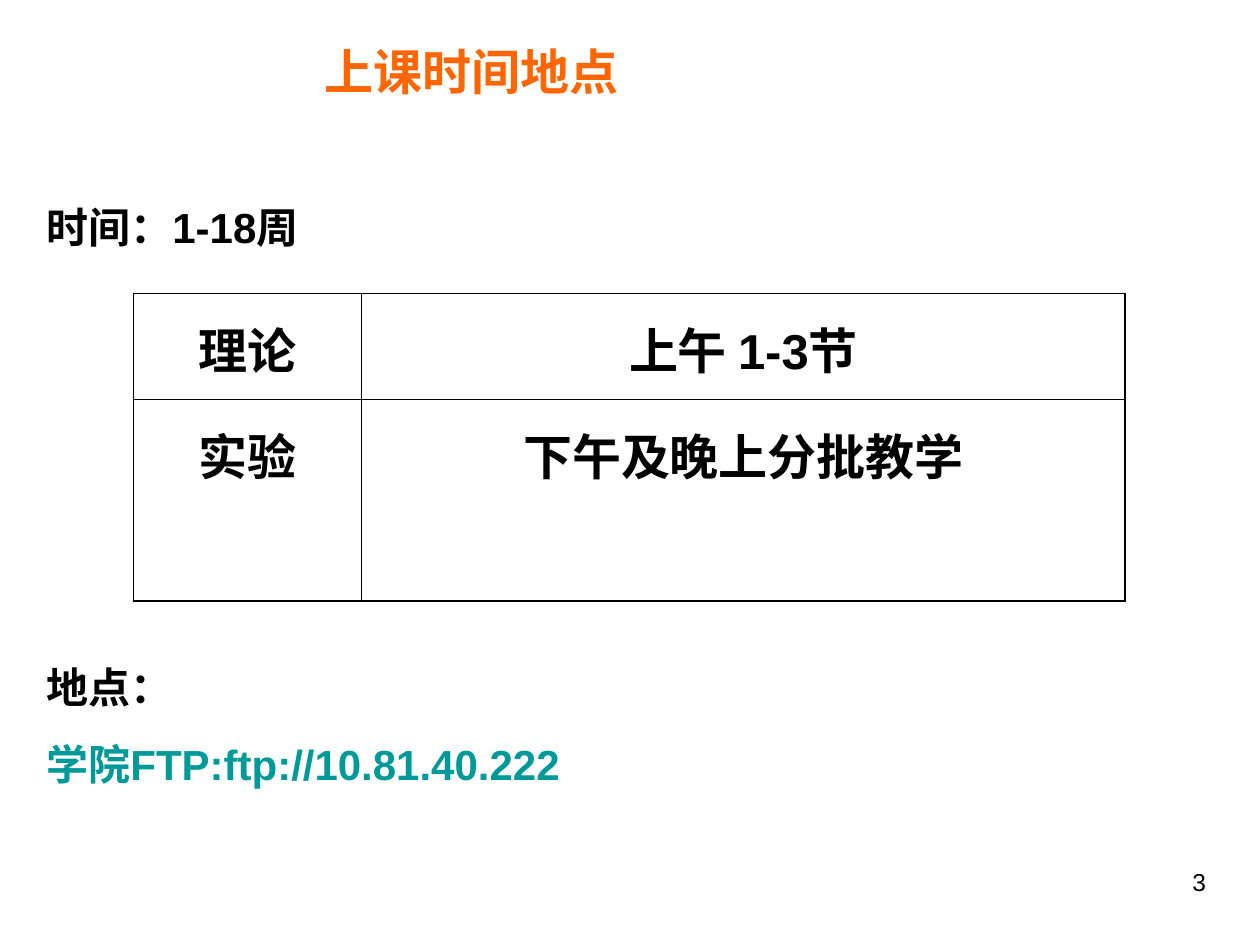
from dataclasses import dataclass

from lxml.etree import SubElement
from pptx import Presentation
from pptx.dml.color import RGBColor
from pptx.enum.text import MSO_ANCHOR, PP_ALIGN
from pptx.oxml.ns import qn
from pptx.util import Inches, Pt


@dataclass(frozen=True)
class Theme:
    font: str = "Arial"
    ink: str = "000000"
    accent: str = "FF6600"
    link: str = "009999"
    head: int = 28
    body: int = 24
    note: int = 14
    outer: float = 1.08
    inner: float = 0.45


THEME = Theme()
WIDE, HIGH = 10, 7.5


def write(para, text, size, color, bold=True, **form):
    """Fill one paragraph and set its format."""
    for name, value in form.items():
        setattr(para, name, value)
    run = para.add_run()
    run.text = text
    look = {"name": THEME.font, "size": Pt(size), "bold": bold}
    for name, value in look.items():
        setattr(run.font, name, value)
    run.font.color.rgb = RGBColor.from_string(color)


def frame(slide, box):
    """Add a wrapping text box and return its text frame."""
    text = slide.shapes.add_textbox(*map(Inches, box)).text_frame
    text.word_wrap = True
    return text


def title(slide, box):
    para = frame(slide, box).paragraphs[0]
    write(para, "上课时间地点", THEME.head, THEME.accent)


def notes(slide, box):
    """Time above the table, place and server below it."""
    lines = [
        ("时间：1-18周", THEME.ink, 0),
        ("地点：", THEME.ink, 234),  # leaves room for the table
        ("学院FTP:ftp://10.81.40.222", THEME.link, 15),
    ]
    text = frame(slide, box)
    for i, (words, color, gap) in enumerate(lines):
        para = text.add_paragraph() if i else text.paragraphs[0]
        write(para, words, THEME.body, color, space_before=Pt(gap))


def border(cell, sides):
    """Draw cell edges; they come before the fill in the XML."""
    props = cell._tc.get_or_add_tcPr()
    for i, (side, width) in enumerate(sides.items()):
        line = SubElement(props, qn(f"a:ln{side}"), w=str(Pt(width)))
        fill = SubElement(line, qn("a:solidFill"))
        SubElement(fill, qn("a:srgbClr"), val=THEME.ink)
        props.insert(i, line)


def hours(slide, box):
    """Timetable with heavier outer edges."""
    rows = [("理论", "上午 1-3节"), ("实验", "下午及晚上分批教学")]
    cols, tall = (0.23, 0.77), (0.345, 0.655)  # shares of the box
    last, end = len(rows) - 1, len(cols) - 1
    grid = slide.shapes.add_table(len(rows), len(cols), *map(Inches, box)).table
    grid.first_row = grid.horz_banding = False
    for c, share in enumerate(cols):
        grid.columns[c].width = Inches(box[2] * share)
    for r, share in enumerate(tall):
        grid.rows[r].height = Inches(box[3] * share)
        for c, words in enumerate(rows[r]):
            cell = grid.cell(r, c)
            cell.fill.background()
            cell.margin_top = Inches(0.15)
            cell.vertical_anchor = MSO_ANCHOR.TOP
            edges = {"L": c == 0, "R": c == end, "T": r == 0, "B": r == last}
            border(cell, {side: THEME.outer if rim else THEME.inner
                          for side, rim in edges.items()})
            write(cell.text_frame.paragraphs[0], words, THEME.head, THEME.ink,
                  alignment=PP_ALIGN.CENTER)


def number(slide, box):
    para = frame(slide, box).paragraphs[0]
    write(para, "3", THEME.note, THEME.ink, bold=False,
          alignment=PP_ALIGN.RIGHT)


def main():
    deck = Presentation()
    deck.slide_width, deck.slide_height = Inches(WIDE), Inches(HIGH)
    slide = deck.slides.add_slide(deck.slide_layouts[6])
    # Boxes: left, top, width, height
    number(slide, (7.17, 6.83, 2.5, 0.52))
    title(slide, (2.48, 0.28, 4.17, 0.57))
    notes(slide, (0.27, 1.55, 9.12, 4.76))
    hours(slide, (1.06, 2.33, 7.87, 2.44))
    deck.save("out.pptx")


if __name__ == "__main__":
    main()
